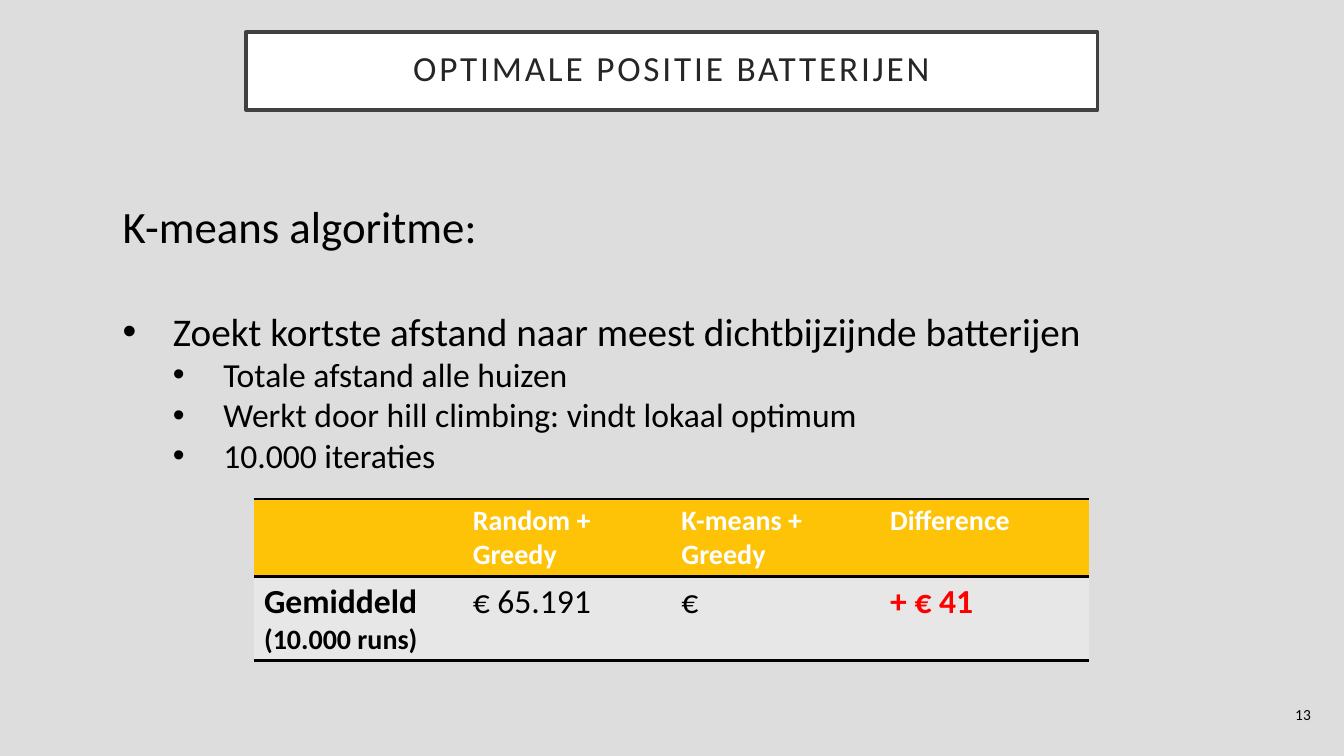
from dataclasses import dataclass

from lxml.etree import SubElement
from pptx import Presentation
from pptx.dml.color import RGBColor
from pptx.enum.shapes import MSO_SHAPE
from pptx.enum.text import MSO_ANCHOR, MSO_AUTO_SIZE, PP_ALIGN
from pptx.oxml.ns import qn
from pptx.slide import Slide
from pptx.table import _Cell
from pptx.text.text import TextFrame, _Paragraph
from pptx.util import Cm, Pt

FONT = "Calibri"
BLACK, WHITE, RED = "000000", "FFFFFF", "FF0000"
GOLD, PALE = "FEC306", "E7E7E7"
PLAIN_STYLE = "{2D5ABB26-0587-4C30-8999-92F81FD0307C}"
STEP = Cm(1.27)


@dataclass
class Line:
    text: str
    size: float
    color: str = BLACK
    bold: bool = False
    depth: int = 0
    gap: float = 0


BODY = [
    Line("K-means algoritme:", 32),
    Line("Zoekt kortste afstand naar meest dichtbijzijnde batterijen", 28, depth=1, gap=39),
    Line("Totale afstand alle huizen", 24, depth=2),
    Line("Werkt door hill climbing: vindt lokaal optimum", 24, depth=2),
    Line("10.000 iteraties", 24, depth=2),
]


def head(*words: str) -> list[Line]:
    return [Line(word, 20, WHITE, True) for word in words]


ROWS = [
    [[], head("Random +", "Greedy"), head("K-means +", "Greedy"), head("Difference")],
    [
        [Line("Gemiddeld", 24, bold=True), Line("(10.000 runs)", 20, bold=True)],
        [Line("€ 65.191", 24)],
        [Line("€", 24)],
        [Line("+ € 41", 24, RED, True)],
    ],
]
FILLS = [GOLD, PALE]
HEIGHTS = [Cm(1.96), Cm(2.08)]
WIDTH = Cm(5.26)


def rgb(code: str) -> RGBColor:
    return RGBColor.from_string(code)


def style(para: _Paragraph, line: Line) -> None:
    for run in para.runs:
        run.font.name = FONT
        run.font.size = Pt(line.size)
        run.font.bold = line.bold
        run.font.color.rgb = rgb(line.color)


def bullet(para: _Paragraph, depth: int) -> None:
    para.level = depth - 1
    props = para._p.get_or_add_pPr()
    props.set("marL", str(depth * STEP))
    props.set("indent", str(-STEP))
    SubElement(props, qn("a:buFont"), typeface="Arial")
    SubElement(props, qn("a:buChar"), char="•")


def write(frame: TextFrame, lines: list[Line]) -> None:
    frame.text = "\n".join(line.text for line in lines)
    for para, line in zip(frame.paragraphs, lines):
        style(para, line)
        if line.gap:
            para.space_before = Pt(line.gap)
        if line.depth:
            bullet(para, line.depth)


def rule(cell: _Cell) -> None:
    """Draw a black line above and below the cell."""
    props = cell._tc.get_or_add_tcPr()
    for side in ("a:lnT", "a:lnB"):
        edge = SubElement(props, qn(side), w=str(Pt(2)))
        fill = SubElement(edge, qn("a:solidFill"))
        SubElement(fill, qn("a:srgbClr"), val=BLACK)


def add_title(slide: Slide) -> None:
    title = slide.shapes.title
    title.left, title.top, title.width, title.height = Cm(6.2), Cm(0.81), Cm(21.46), Cm(1.96)
    title.fill.solid()
    title.fill.fore_color.rgb = rgb(WHITE)
    title.line.color.rgb = rgb("404040")
    title.line.width = Pt(2.5)
    frame = title.text_frame
    frame.auto_size = MSO_AUTO_SIZE.NONE
    frame.vertical_anchor = MSO_ANCHOR.MIDDLE
    frame.margin_left = frame.margin_right = Cm(0.51)
    frame.margin_top = frame.margin_bottom = Cm(0.51)
    write(frame, [Line("OPTIMALE POSITIE BATTERIJEN", 25.2, "262626")])
    para = frame.paragraphs[0]
    para.alignment = PP_ALIGN.CENTER
    para.line_spacing = 0.8
    para.runs[0].font._element.set("spc", "200")


def add_body(slide: Slide) -> None:
    box = slide.shapes.add_textbox(Cm(2.84), Cm(4.88), Cm(28.14), Cm(11.38))
    box.text_frame.word_wrap = True
    write(box.text_frame, BODY)


def add_costs(slide: Slide) -> None:
    count = len(ROWS[0])
    frame = slide.shapes.add_table(
        len(ROWS), count, Cm(6.4), Cm(12.57), WIDTH * count, sum(HEIGHTS)
    )
    table = frame.table
    table._tbl.tblPr.find(qn("a:tableStyleId")).text = PLAIN_STYLE
    for col in table.columns:
        col.width = WIDTH
    for row, height, cells, color in zip(table.rows, HEIGHTS, ROWS, FILLS):
        row.height = height
        for cell, lines in zip(row.cells, cells):
            rule(cell)
            cell.fill.solid()
            cell.fill.fore_color.rgb = rgb(color)
            write(cell.text_frame, lines)


def add_number(slide: Slide) -> None:
    badge = slide.shapes.add_shape(MSO_SHAPE.OVAL, Cm(32.33), Cm(17.5), Cm(1.02), Cm(1.02))
    badge.shadow.inherit = False
    badge.fill.background()
    badge.line.fill.background()
    frame = badge.text_frame
    frame.margin_left = frame.margin_right = Cm(0.05)
    frame.vertical_anchor = MSO_ANCHOR.MIDDLE
    write(frame, [Line("13", 11)])
    frame.paragraphs[0].alignment = PP_ALIGN.CENTER


def main() -> None:
    deck = Presentation()
    deck.slide_width, deck.slide_height = Cm(33.87), Cm(19.05)
    slide = deck.slides.add_slide(deck.slide_layouts[5])
    slide.background.fill.solid()
    slide.background.fill.fore_color.rgb = rgb("DDDDDD")
    add_number(slide)
    add_title(slide)
    add_body(slide)
    add_costs(slide)
    deck.save("out.pptx")


if __name__ == "__main__":
    main()
